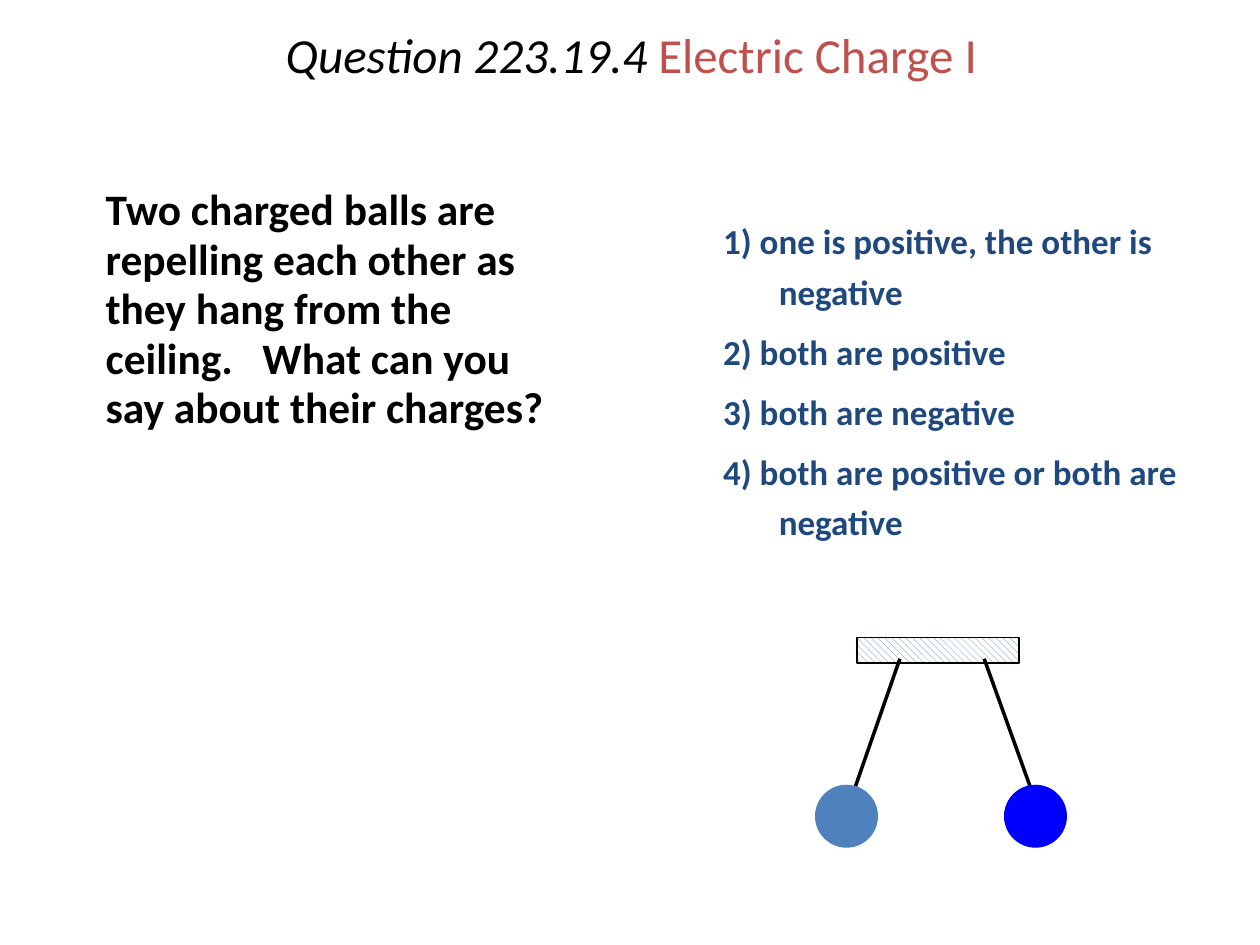
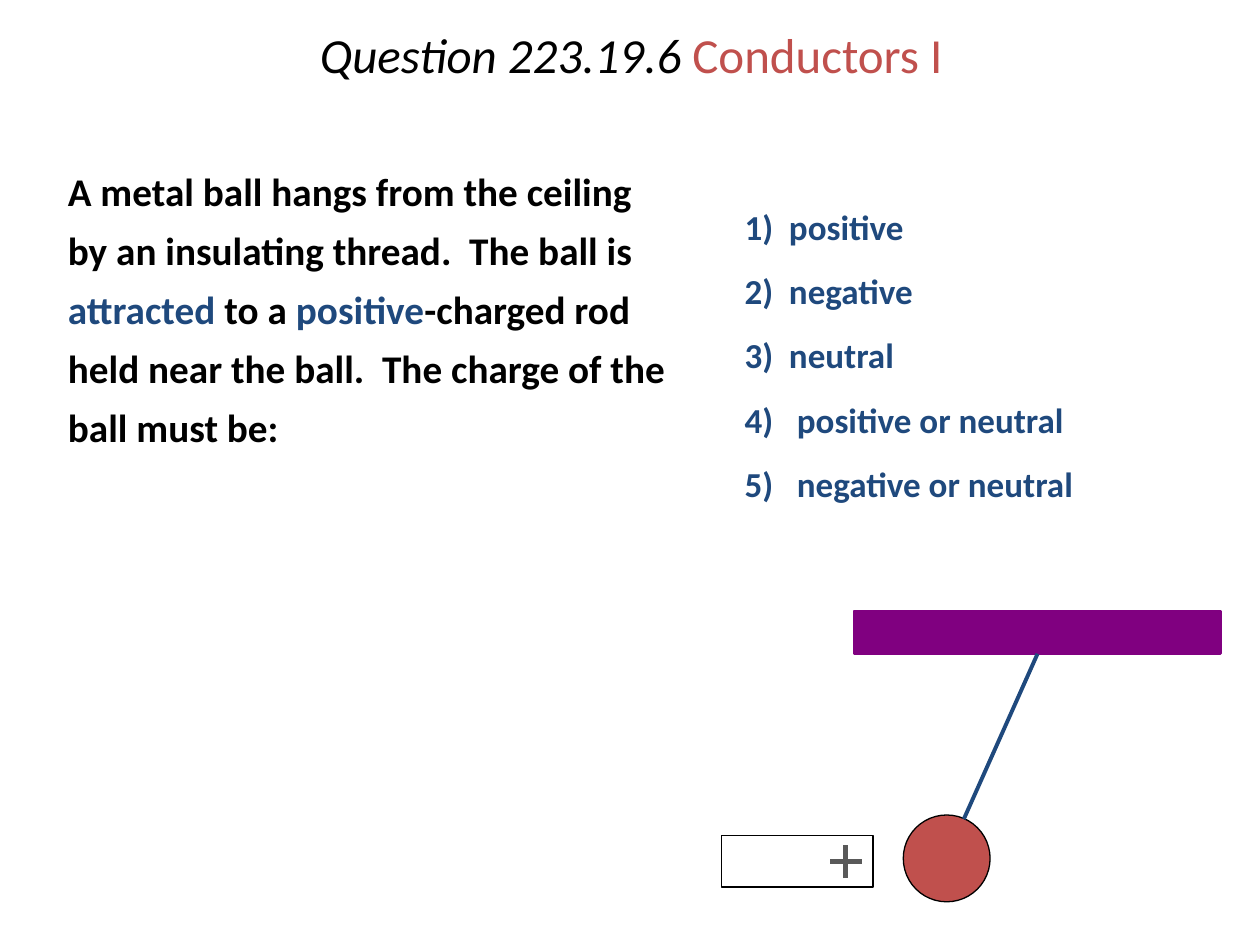
"""Build two physics quiz slides on electric charge, each with a sketch."""
from dataclasses import dataclass
from typing import NamedTuple, Optional, Union

from lxml import etree
from pptx import Presentation
from pptx import util as u
from pptx.dml.color import RGBColor
from pptx.enum import dml, shapes, text
from pptx.oxml.ns import qn

BLACK, WHITE, NAVY, BRICK = "000000", "FFFFFF", "1F497D", "C0504D"
STEEL, BLUE, PURPLE, GREY = "4F81BD", "0000FF", "800080", "595959"
RECT, BALL = shapes.MSO_SHAPE.RECTANGLE, shapes.MSO_SHAPE.OVAL
INDENT = u.Cm(1.12)
TITLE_AREA = (2.59, 0, 20.27, 2.34)
FRAME = {"word_wrap": True, "auto_size": text.MSO_AUTO_SIZE.NONE}


class Words(NamedTuple):
    text: str
    color: str = BLACK


class Copy(NamedTuple):
    area: tuple[float, float, float, float]
    paragraphs: list[list[Words]]
    size: float
    spacing: float
    hanging: bool = False


@dataclass
class Solid:
    kind: shapes.MSO_SHAPE
    area: tuple[float, float, float, float]
    fill: str
    line: Optional[str] = None
    weight: float = 1
    hatched: bool = False


@dataclass
class Stroke:
    start: tuple[float, float]
    end: tuple[float, float]
    color: str = BLACK
    weight: float = 2
    hung_from: Optional[int] = None


class Question(NamedTuple):
    number: str
    topic: str
    prompt: Copy
    answers: Copy
    sketch: list[Union[Solid, Stroke]]


def rgb(value: str) -> RGBColor:
    return RGBColor.from_string(value)


def cm(values) -> list[int]:
    return [u.Cm(value) for value in values]


def apply(target, formats: dict) -> None:
    for name, value in formats.items():
        setattr(target, name, value)


def add_words(paragraph, words: Words, **formats) -> None:
    run = paragraph.add_run()
    run.text = words.text
    apply(run.font, {"name": "Calibri", **formats})
    run.font.color.rgb = rgb(words.color)


def set_title(slide, question: Question) -> None:
    title = slide.shapes.title
    apply(title, dict(zip(("left", "top", "width", "height"), cm(TITLE_AREA))))
    apply(title.text_frame, {**FRAME, "vertical_anchor": text.MSO_ANCHOR.MIDDLE})
    heading = title.text_frame.paragraphs[0]
    apply(heading, {"alignment": text.PP_ALIGN.CENTER, "line_spacing": 0.9})
    size = u.Pt(28)
    add_words(heading, Words(f"Question {question.number} "), size=size, italic=True)
    add_words(heading, Words(question.topic, BRICK), size=size, italic=False)


def add_copy(slide, block: Copy) -> None:
    frame = slide.shapes.add_textbox(*cm(block.area)).text_frame
    apply(frame, FRAME)
    for index, pieces in enumerate(block.paragraphs):
        paragraph = frame.add_paragraph() if index else frame.paragraphs[0]
        paragraph.line_spacing = block.spacing
        paragraph.space_before = u.Pt(5.5 if index else 0)
        properties = paragraph._p.get_or_add_pPr()
        properties.set("marL", str(INDENT))
        properties.set("indent", str(-INDENT if block.hanging else 0))
        for words in pieces:
            add_words(paragraph, words, size=u.Pt(block.size), bold=True)


def add_solid(slide, solid: Solid):
    shape = slide.shapes.add_shape(solid.kind, *cm(solid.area))
    shape.shadow.inherit = False
    if solid.hatched:
        shape.fill.patterned()
        shape.fill.pattern = dml.MSO_PATTERN.WIDE_DOWNWARD_DIAGONAL
        shape.fill.back_color.rgb = rgb(WHITE)
    else:
        shape.fill.solid()
    shape.fill.fore_color.rgb = rgb(solid.fill)
    if solid.line:
        shape.line.color.rgb = rgb(solid.line)
        shape.line.width = u.Pt(solid.weight)
    else:
        shape.line.fill.background()
    return shape


def add_stroke(slide, stroke: Stroke, drawn: list):
    line = slide.shapes.add_connector(
        shapes.MSO_CONNECTOR.STRAIGHT, *cm(stroke.start + stroke.end))
    if stroke.hung_from is not None:
        line.end_connect(drawn[stroke.hung_from], 2)
    line.line.color.rgb = rgb(stroke.color)
    line.line.width = u.Pt(stroke.weight)
    etree.SubElement(line._element.spPr, qn("a:effectLst"))
    return line


def add_question(deck, question: Question) -> None:
    slide = deck.slides.add_slide(deck.slide_layouts[5])
    set_title(slide, question)
    add_copy(slide, question.prompt)
    add_copy(slide, question.answers)
    drawn = []
    for part in question.sketch:
        drawn.append(add_solid(slide, part) if isinstance(part, Solid)
                     else add_stroke(slide, part, drawn))


def answer_list(*answers: str) -> list[list[Words]]:
    return [[Words(answer, NAVY)] for answer in answers]


QUESTIONS = [
    Question(
        "223.19.4", "Electric Charge I",
        Copy((0.76, 3.63, 10.87, 6.2), [[Words(
            "Two charged balls are repelling each other as they hang from "
            "the ceiling.   What can you say about their charges?")]], 24.8, 0.95),
        Copy((14.33, 4.14, 9.75, 7.42), answer_list(
            "1) one is positive, the other is negative",
            "2) both are positive",
            "3) both are negative",
            "4) both are positive or both are negative"), 20, 1.2, True),
        [
            Solid(RECT, (17.27, 12.85, 3.28, 0.51), STEEL, BLACK, hatched=True),
            Stroke((19.84, 13.28), (20.8, 15.95)),
            Stroke((18.14, 13.28), (17.2, 15.98)),
            Solid(BALL, (16.43, 15.82, 1.27, 1.27), STEEL),
            Solid(BALL, (20.24, 15.82, 1.27, 1.27), BLUE),
        ]),
    Question(
        "223.19.6", "Conductors I",
        Copy((0, 3.02, 13.84, 6.17), [[
            Words("A metal ball hangs from the ceiling by an insulating "
                  "thread.  The ball is "),
            Words("attracted", NAVY), Words(" to a "), Words("positive", NAVY),
            Words("-charged rod held near the ball.  The charge of the ball "
                  "must be:")]], 22.4, 1.25),
        Copy((14.76, 3.76, 9.55, 7.19), answer_list(
            "1)  positive", "2)  negative", "3)  neutral",
            "4)   positive or neutral", "5)   negative or neutral"), 20, 1.3, True),
        [
            Solid(RECT, (17.22, 12.32, 7.39, 0.86), PURPLE, PURPLE, 1.5),
            Solid(BALL, (18.21, 16.43, 1.75, 1.75), BRICK, BLACK, 0.75),
            Stroke((19.43, 16.51), (20.9, 13.2), NAVY, 2.25, hung_from=0),
            Solid(RECT, (14.55, 16.84, 3.05, 1.04), WHITE, BLACK, 0.75),
            Stroke((16.74, 17.37), (17.37, 17.37), GREY, 3),
            Stroke((17.05, 17.7), (17.05, 17.04), GREY, 3),
        ]),
]


def main() -> None:
    deck = Presentation()
    apply(deck, {"slide_width": u.Cm(25.4), "slide_height": u.Cm(19.05)})
    for question in QUESTIONS:
        add_question(deck, question)
    deck.save("out.pptx")


if __name__ == "__main__":
    main()
